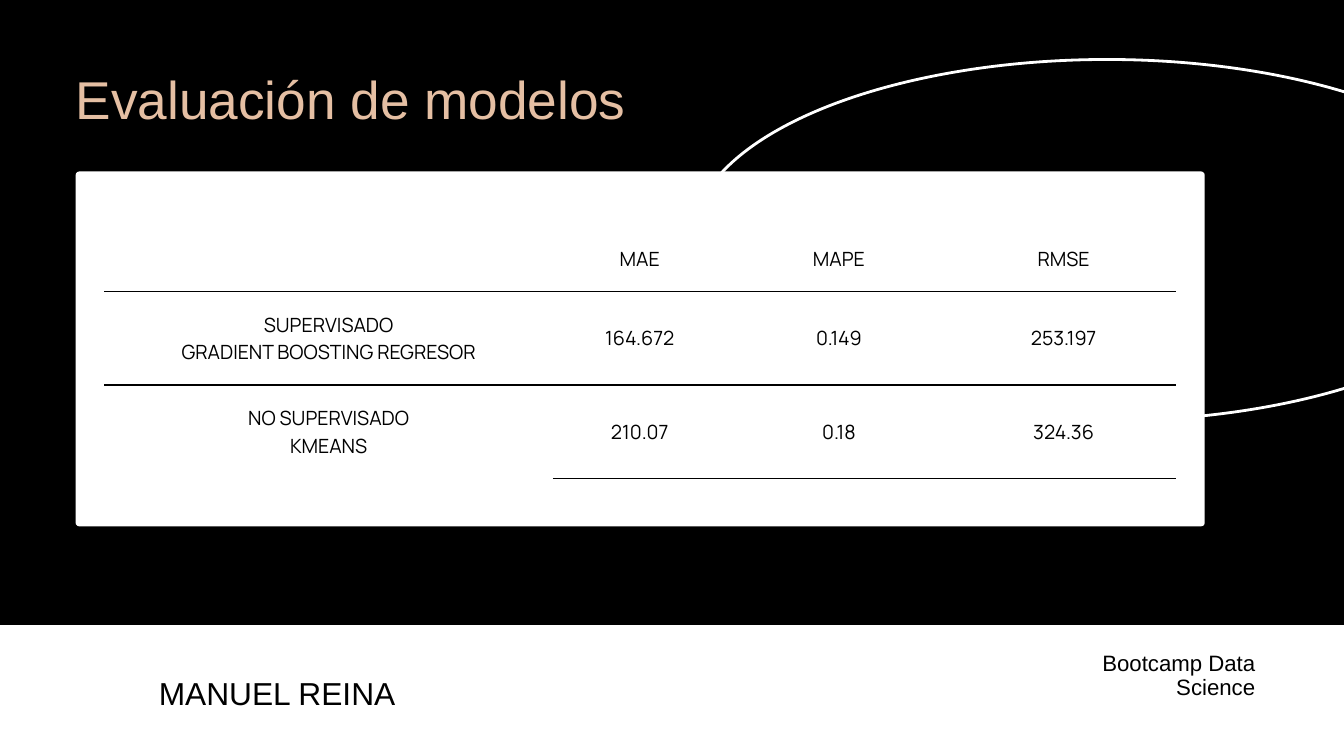
from lxml.etree import SubElement
from pptx import Presentation
from pptx.dml.color import RGBColor
from pptx.enum.shapes import MSO_SHAPE as SHAPE
from pptx.enum.text import MSO_ANCHOR as ANCHOR, PP_ALIGN as ALIGN
from pptx.oxml.ns import qn
from pptx.util import Emu, Pt

BLACK = RGBColor(0x00, 0x00, 0x00)
WHITE = RGBColor(0xFF, 0xFF, 0xFF)
PEACH = RGBColor(0xE5, 0xBF, 0xA3)

COLUMNS = [641, 248, 321, 321]
ROWS = [94, 134, 134]
RESULTS = [
    ["", "MAE", "MAPE", "RMSE"],
    ["SUPERVISADO\nGRADIENT BOOSTING REGRESOR", "164.672", "0.149", "253.197"],
    ["NO SUPERVISADO\nKMEANS", "210.07", "0.18", "324.36"],
]


def px(n):
    """Turn pixels at 96 to the inch into EMU."""
    return Emu(n * 9525)


def add_panel(s, kind, x, y, w, h):
    """Add a plain white shape."""
    sp = s.shapes.add_shape(kind, px(x), px(y), px(w), px(h))
    sp.shadow.inherit = False
    sp.fill.solid()
    sp.fill.fore_color.rgb = WHITE
    sp.line.fill.background()
    return sp


def add_ring(s, x, y, w, h):
    """Add an unfilled ellipse with a white outline."""
    sp = add_panel(s, SHAPE.OVAL, x, y, w, h)
    sp.fill.background()
    sp.line.color.rgb = WHITE
    sp.line.width = Pt(3)


def style(p, font, size, color, leading, align):
    """Set the font, line spacing and alignment of a paragraph."""
    p.font.name = font
    p.font.size = Pt(size)
    p.font.color.rgb = color
    p.line_spacing = Pt(leading)
    p.alignment = align


def add_text(s, text, x, y, w, h, size, color, leading, align=ALIGN.LEFT):
    """Add a wrapped text box without insets."""
    tf = s.shapes.add_textbox(px(x), px(y), px(w), px(h)).text_frame
    tf.word_wrap = True
    tf.margin_left = tf.margin_right = tf.margin_top = tf.margin_bottom = 0
    tf.text = text
    style(tf.paragraphs[0], "Arial", size, color, leading, align)


def set_borders(cell, ruled):
    """Draw black rules on the named sides of a cell and clear the others."""
    tc_pr = cell._tc.get_or_add_tcPr()
    for i, side in enumerate(["lnL", "lnR", "lnT", "lnB"]):
        ln = SubElement(tc_pr, qn(f"a:{side}"), w=str(Pt(1.42)))
        if side in ruled:
            fill = SubElement(ln, qn("a:solidFill"))
            SubElement(fill, qn("a:srgbClr"), val=str(BLACK))
        else:
            SubElement(ln, qn("a:noFill"))
        tc_pr.insert(i, ln)


def fill_cell(cell, text):
    """Write centred text into an unfilled cell."""
    cell.fill.background()
    cell.vertical_anchor = ANCHOR.MIDDLE
    cell.margin_left = cell.margin_right = px(19)
    cell.margin_top = cell.margin_bottom = px(19)
    cell.text = text
    for p in cell.text_frame.paragraphs:
        style(p, "Manrope", 21, BLACK, 29.4, ALIGN.CENTER)


def add_results(s, x, y):
    """Add the table of model metrics."""
    table = s.shapes.add_table(len(ROWS), len(COLUMNS), px(x), px(y),
                               px(sum(COLUMNS)), px(sum(ROWS))).table
    table.first_row = table.horz_banding = False
    for column, w in zip(table.columns, COLUMNS):
        column.width = px(w)
    for row, h in zip(table.rows, ROWS):
        row.height = px(h)
    for r, texts in enumerate(RESULTS):
        for c, text in enumerate(texts):
            cell = table.cell(r, c)
            fill_cell(cell, text)
            ruled = {"lnT"} if r > 0 else set()
            if r < len(ROWS) - 1 or c > 0:
                ruled.add("lnB")
            set_borders(cell, ruled)


def main():
    """Build the slide and save it."""
    prs = Presentation()
    prs.slide_width, prs.slide_height = px(1920), px(1080)
    s = prs.slides.add_slide(prs.slide_layouts[6])
    s.background.fill.solid()
    s.background.fill.fore_color.rgb = BLACK

    add_panel(s, SHAPE.RECTANGLE, -27, 893, 1975, 203)
    add_ring(s, 988, 85, 1187, 516)
    card = add_panel(s, SHAPE.ROUNDED_RECTANGLE, 108, 245, 1613, 507)
    card.adjustments[0] = 0.01
    add_results(s, 149, 322)

    add_text(s, "Evaluación de modelos", 108, 101, 973, 98, 57, PEACH, 63.3)
    add_text(s, "MANUEL REINA", 227, 966, 419, 58, 34, BLACK, 37.7)
    add_text(s, "Bootcamp Data Science", 1459, 930, 334, 42, 23.8, BLACK, 26.4,
             ALIGN.RIGHT)
    prs.save("out.pptx")


if __name__ == "__main__":
    main()
